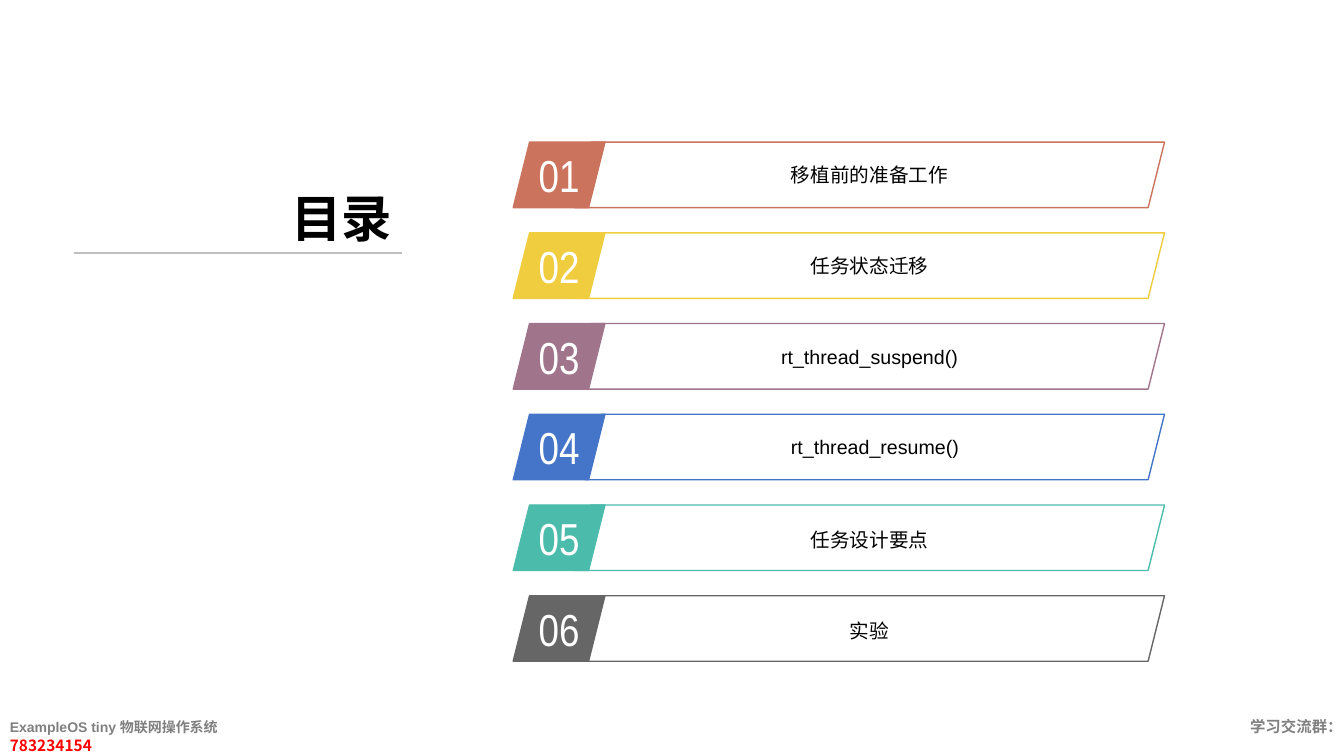
from pptx import Presentation
from pptx.dml.color import RGBColor
from pptx.enum.shapes import MSO_CONNECTOR, MSO_SHAPE
from pptx.enum.text import MSO_ANCHOR as ANCHOR, MSO_AUTO_SIZE, PP_ALIGN as ALIGN
from pptx.util import Inches, Pt
from lxml import etree
from pptx.oxml.ns import qn

COLORS = {
    "coral": "CC735E", "yellow": "EFCD3F", "mauve": "A0758C",
    "blue": "4575C9", "teal": "4BBCAC", "dark": "666666",
    "rule": "BFBFBF", "muted": "808080", "red": "FF0000",
    "black": "000000", "white": "FFFFFF",
}
ROWS = [
    ("移植前的准备工作", "coral", 0.61, 1.0),
    ("任务状态迁移", "yellow", 0.61, 1.0),
    ("rt_thread_suspend()", "mauve", 0.61, 1.0),
    ("rt_thread_resume()", "blue", 0.72, 1.0),
    ("任务设计要点", "teal", 0.61, 1.2),
    ("实验", "dark", 0.61, 1.2),
]
ROW_H, ROW_STEP, BADGE_W = 0.65, 0.9, 0.91


def rgb(name):
    return RGBColor.from_string(COLORS[name])


def style(r, size, color, font="Arial", bold=False):
    r.font.size, r.font.name, r.font.bold = Pt(size), font, bold
    r.font.color.rgb = rgb(color)


def add_slant(s, x, y, w, color, text, size, text_color, font="Arial", filled=False):
    sp = s.shapes.add_shape(MSO_SHAPE.PARALLELOGRAM, Inches(x), Inches(y), Inches(w), Inches(ROW_H))
    sp.shadow.inherit = False
    if filled:
        sp.fill.solid()
        sp.fill.fore_color.rgb = rgb(color)
    else:
        sp.fill.background()
    sp.line.color.rgb = rgb(color)
    sp.line.width = Pt(1)
    tf = sp.text_frame
    tf.text = text
    tf.word_wrap = not filled
    tf.vertical_anchor = ANCHOR.MIDDLE
    p = tf.paragraphs[0]
    p.alignment = ALIGN.CENTER
    style(p.runs[0], size, text_color, font)
    return p


def add_agenda(s, x, y, w):
    for i, (text, color, offset, spacing) in enumerate(ROWS):
        top = y + i * ROW_STEP
        add_slant(s, x, top, BADGE_W, color, f"{i + 1:02}", 32, "white", "Arial Narrow", True)
        p = add_slant(s, x + offset, top, w - offset, color, text, 14, "black")
        p.line_spacing = spacing


def add_heading(s, x, y, w, h):
    title = s.shapes.title
    title.left, title.top = Inches(x + 0.87), Inches(y)
    title.width, title.height = Inches(w - 0.87), Inches(h)
    tf = title.text_frame
    tf.text = "目录"
    tf.auto_size = MSO_AUTO_SIZE.NONE
    tf.word_wrap = True
    tf.vertical_anchor = ANCHOR.BOTTOM
    p = tf.paragraphs[0]
    p.alignment = ALIGN.RIGHT
    style(p.runs[0], 36, "black", bold=True)
    rule = s.shapes.add_connector(MSO_CONNECTOR.STRAIGHT, Inches(x), Inches(y + h),
                                  Inches(x + w), Inches(y + h))
    rule.line.color.rgb = rgb("rule")
    rule.line.width = Pt(1.5)
    etree.SubElement(rule._element.spPr, qn("a:effectLst"))


def add_footer(s, x, y, w, h):
    tf = s.shapes.add_textbox(Inches(x), Inches(y), Inches(w), Inches(h)).text_frame
    tf.word_wrap = True
    tf.margin_right = 0
    tf.vertical_anchor = ANCHOR.MIDDLE
    tf.text = "ExampleOS tiny 物联网操作系统\t"
    p = tf.paragraphs[0]
    tabs = etree.SubElement(p._p.get_or_add_pPr(), qn("a:tabLst"))
    etree.SubElement(tabs, qn("a:tab"), pos=str(Inches(w - 1.03)), algn="l")
    style(p.runs[0], 10, "muted", bold=True)
    r = p.add_run()
    r.text = "学习交流群："
    style(r, 11, "muted", bold=True)
    p = tf.add_paragraph()
    p.text = "783234154"
    style(p.runs[0], 11, "red", "Noto Sans CJK KR", True)


def main():
    prs = Presentation()
    prs.slide_width, prs.slide_height = Inches(13.33), Inches(7.5)
    s = prs.slides.add_slide(prs.slide_layouts[5])
    add_agenda(s, 5.09, 1.41, 6.46)
    add_heading(s, 0.73, 1.42, 3.26, 1.09)
    add_footer(s, 0, 7.1, 13.33, 0.4)
    prs.save("out.pptx")


if __name__ == "__main__":
    main()
